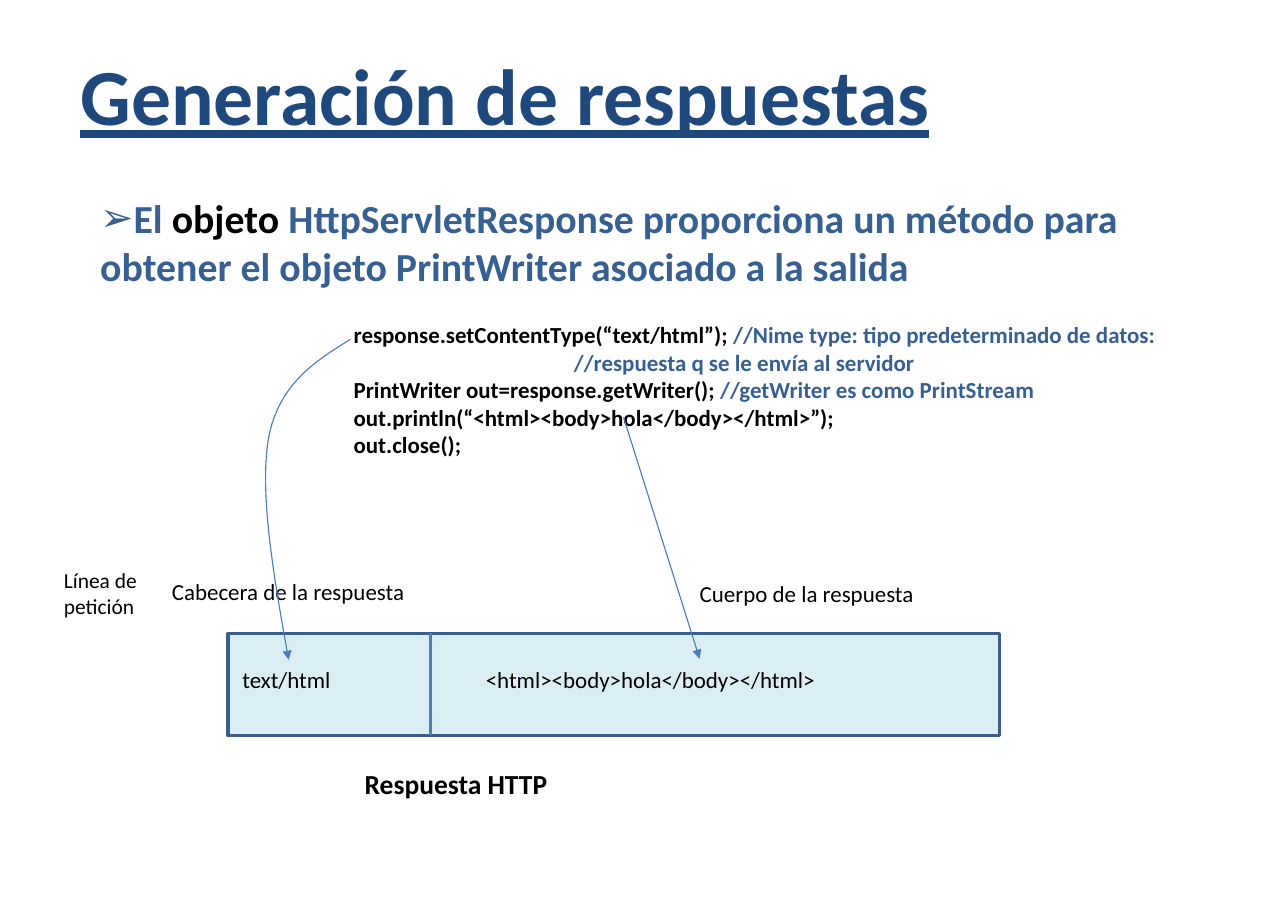
from dataclasses import dataclass

from lxml.etree import SubElement
from pptx import Presentation
from pptx.dml.color import RGBColor
from pptx.enum.shapes import MSO_CONNECTOR, MSO_SHAPE
from pptx.enum.text import MSO_ANCHOR, MSO_AUTO_SIZE, PP_ALIGN
from pptx.oxml.ns import qn
from pptx.util import Inches, Pt

COLORS = {
    "title": "1F497D",
    "accent": "376092",
    "text": "000000",
    "box": "DBEEF4",
    "border": "3A5F8C",
    "line": "4B7EBC",
}
FONT = "Calibri"
Point = tuple[float, float]
Run = tuple[str, str]


@dataclass
class Label:
    text: str
    left: float
    top: float
    width: float
    height: float = 0.38
    size: float = 15
    bold: bool = False


@dataclass
class CodeLine:
    runs: list[Run]
    indent: float = 0


def rgb(name: str) -> RGBColor:
    return RGBColor.from_string(COLORS[name])


def place(shape, left: float, top: float, width: float, height: float) -> None:
    shape.left, shape.top = Inches(left), Inches(top)
    shape.width, shape.height = Inches(width), Inches(height)


def prepare_frame(shape):
    frame = shape.text_frame
    frame.word_wrap = True
    frame.auto_size = MSO_AUTO_SIZE.NONE
    frame.vertical_anchor = MSO_ANCHOR.TOP
    frame.margin_left = frame.margin_right = Inches(0.13)
    frame.margin_top = frame.margin_bottom = Inches(0.06)
    return frame


def write(paragraph, runs: list[Run], size: float, bold: bool = False) -> None:
    paragraph.alignment = PP_ALIGN.LEFT
    font = paragraph.font
    font.name, font.size, font.bold = FONT, Pt(size), bold
    if len({color for _, color in runs}) == 1:
        font.color.rgb = rgb(runs[0][1])
    for text, color in runs:
        run = paragraph.add_run()
        run.text = text
        if len(runs) > 1:
            run.font.color.rgb = rgb(color)


def add_label(label: Label) -> None:
    box = slide.shapes.add_textbox(0, 0, 0, 0)
    place(box, label.left, label.top, label.width, label.height)
    write(prepare_frame(box).paragraphs[0], [(label.text, "text")], label.size, label.bold)


def style_line(shape, width: float, arrow: bool = False) -> None:
    shape.line.color.rgb = rgb("line")
    shape.line.width = Pt(width)
    if arrow:
        SubElement(shape.line._get_or_add_ln(), qn("a:tailEnd"), type="triangle")


def add_line(start: Point, end: Point, width: float, arrow: bool = False) -> None:
    line = slide.shapes.add_connector(
        MSO_CONNECTOR.STRAIGHT, *(Inches(value) for value in start + end))
    style_line(line, width, arrow)
    SubElement(line._element.spPr, qn("a:effectLst"))


def bezier(points: list[Point], steps: int = 24) -> list[Point]:
    """Points along a cubic curve, without its start."""
    curve = []
    for step in range(1, steps + 1):
        t = step / steps
        weights = ((1 - t) ** 3, 3 * t * (1 - t) ** 2, 3 * t * t * (1 - t), t ** 3)
        curve.append(tuple(sum(w * p[axis] for w, p in zip(weights, points))
                           for axis in (0, 1)))
    return curve


presentation = Presentation()
presentation.slide_width, presentation.slide_height = Inches(11.69), Inches(8.27)
slide = presentation.slides.add_slide(presentation.slide_layouts[1])

# Title
title = slide.shapes.title
place(title, 0.6, 0.31, 10.59, 1.3)
title_frame = prepare_frame(title)
title_frame.margin_top = Inches(0.11)
heading = title_frame.paragraphs[0]
write(heading, [("Generación de respuestas", "title")], 52, bold=True)
heading.font.underline = True

# Bulleted statement
body = slide.placeholders[1]
place(body, 0.78, 1.7, 10.22, 1.97)
statement = prepare_frame(body).paragraphs[0]
write(statement, [
    ("El ", "accent"),
    ("objeto ", "text"),
    ("HttpServletResponse proporciona un método para obtener el objeto "
     "PrintWriter asociado a la salida", "accent"),
], 26, bold=True)
statement.space_before = Pt(0)
bullet_properties = statement._p.get_or_add_pPr()
bullet_properties.set("marL", "0")
bullet_properties.set("indent", "0")
bullet = SubElement(bullet_properties, qn("a:buChar"), char="➢")
bullet_properties.find(qn("a:defRPr")).addprevious(bullet)

# Servlet code
CODE = [
    CodeLine([("response.setContentType(“text/html”); ", "text"),
              ("//Nime type: tipo predeterminado de datos:", "accent")]),
    CodeLine([("//respuesta q se le envía al servidor", "accent")], indent=2),
    CodeLine([("PrintWriter out=response.getWriter(); ", "text"),
              ("//getWriter es como PrintStream", "accent")]),
    CodeLine([("out.println(“<html><body>hola</body></html>”);", "text")]),
    CodeLine([("out.close();", "text")]),
]
code_box = slide.shapes.add_textbox(0, 0, 0, 0)
place(code_box, 3.08, 2.85, 8.1, 1.39)
code_frame = prepare_frame(code_box)
for number, code_line in enumerate(CODE):
    paragraph = code_frame.add_paragraph() if number else code_frame.paragraphs[0]
    write(paragraph, code_line.runs, 15, bold=True)
    if code_line.indent:
        paragraph._p.get_or_add_pPr().set("marL", str(Inches(code_line.indent)))

# HTTP response, split into header and body
response = slide.shapes.add_shape(MSO_SHAPE.RECTANGLE, 0, 0, 0, 0)
place(response, 2.07, 5.75, 7, 0.93)
response.shadow.inherit = False
response.fill.solid()
response.fill.fore_color.rgb = rgb("box")
response.line.color.rgb = rgb("border")
response.line.width = Pt(2)
add_line((3.91, 5.75), (3.91, 6.67), 2)

# Labels
LABELS = [
    Label("text/html", 2.07, 5.98, 1.2),
    Label("<html><body>hola</body></html>", 4.28, 5.98, 4.14),
    Label("Respuesta HTTP", 3.18, 6.9, 4.14, height=0.43, size=18, bold=True),
    Label("Cuerpo de la respuesta", 6.22, 5.2, 3.41),
    Label("Cabecera de la respuesta", 1.43, 5.18, 3.41),
    Label("Línea de petición", 0.45, 5.09, 1.07, height=0.6, size=14),
]
for label in LABELS:
    add_label(label)

# Arrows from the code to the parts of the response
add_line((5.66, 3.79), (6.35, 5.98), 0.75, arrow=True)
start, middle, end = (3.18, 3.08), (2.44, 3.96), (2.62, 5.99)
header_path = (bezier([start, (2.86, 3.28), (2.54, 3.48), middle])
               + bezier([middle, (2.35, 4.45), (2.48, 5.22), end]))
builder = slide.shapes.build_freeform(*start, scale=Inches(1))
builder = slide.shapes.build_freeform(Inches(start[0]), Inches(start[1]))
builder.add_line_segments([(Inches(x), Inches(y)) for x, y in header_path], close=False)
header_arrow = builder.convert_to_shape()
header_arrow.shadow.inherit = False
header_arrow.fill.background()
style_line(header_arrow, 0.75, arrow=True)

presentation.save("out.pptx")
